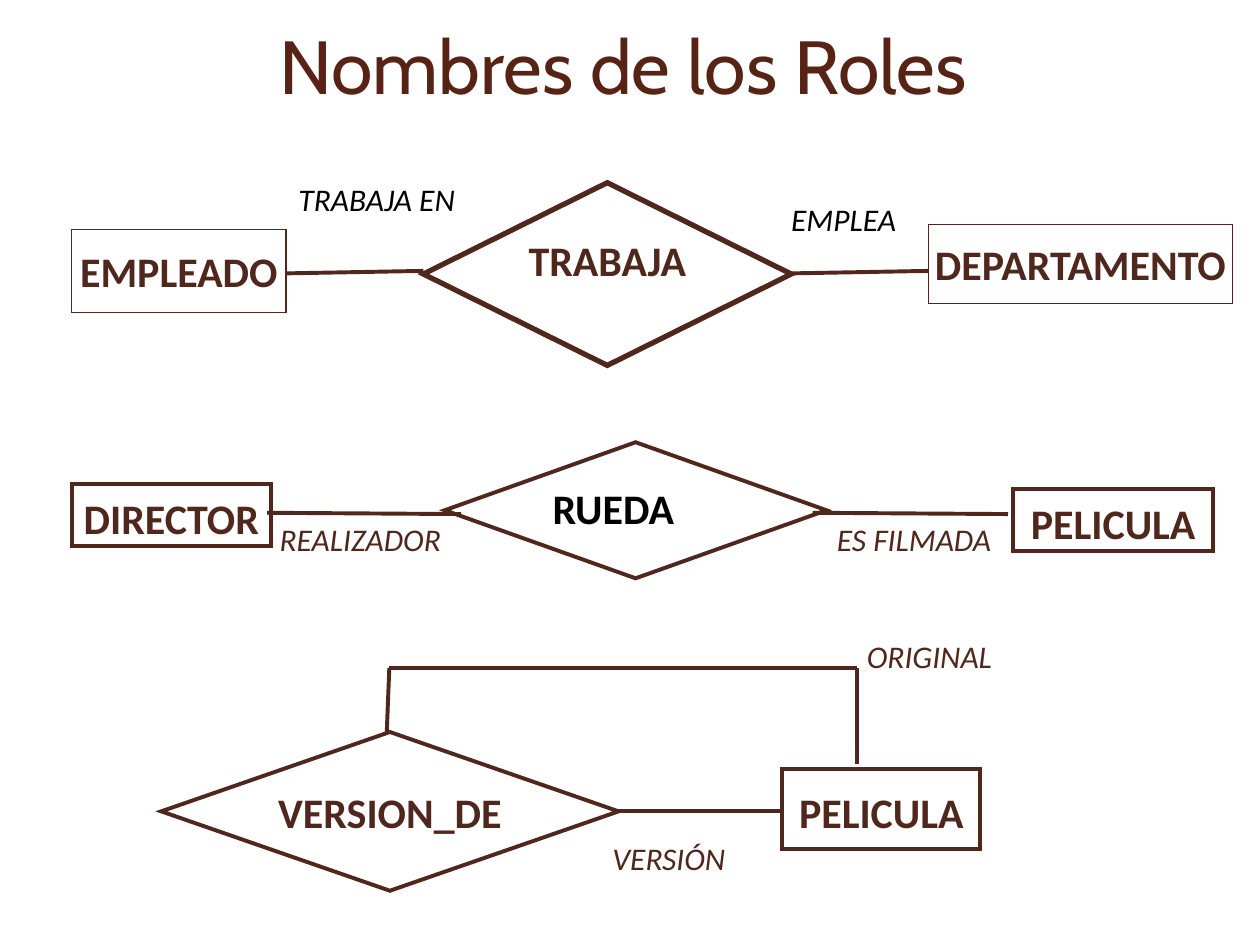
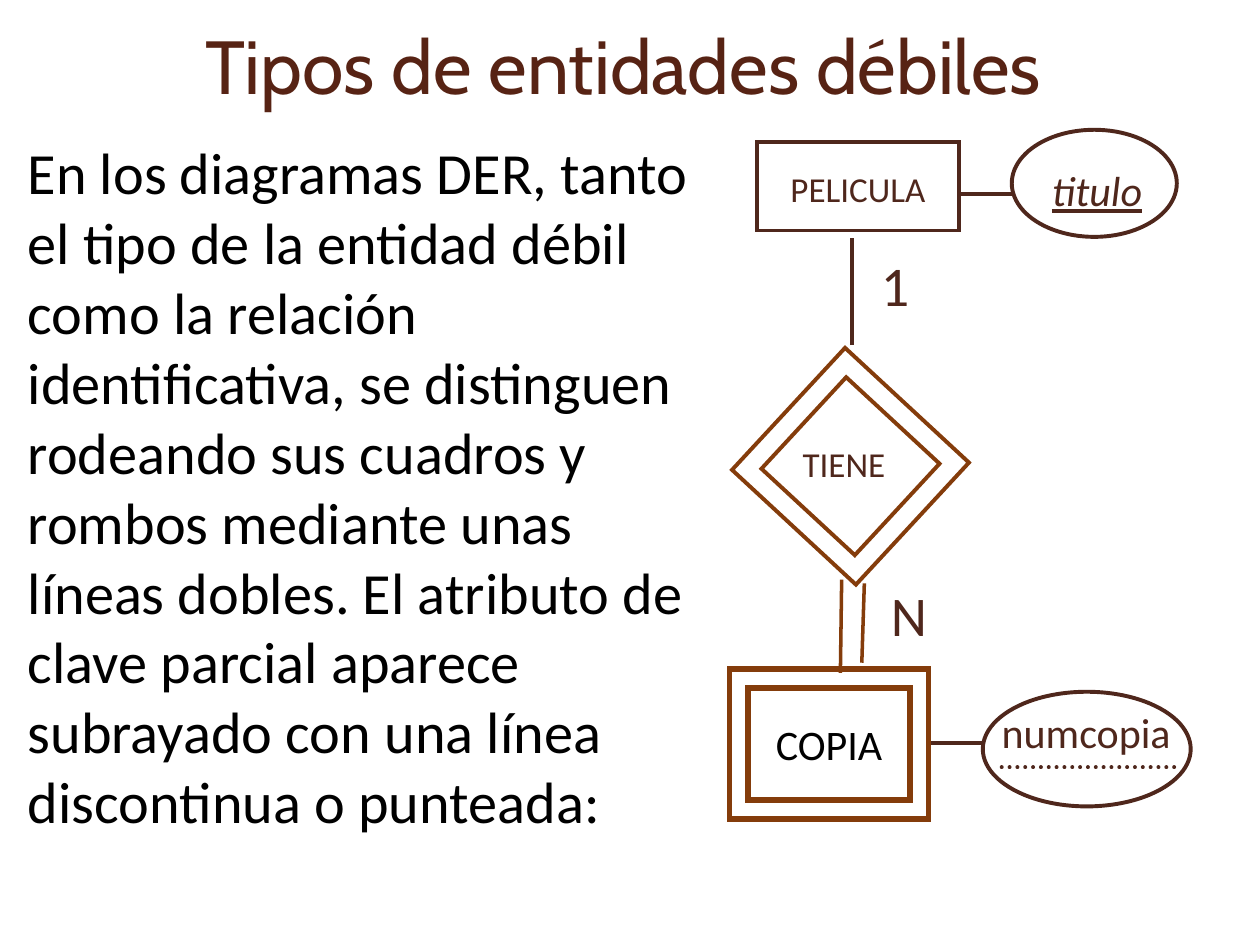
from dataclasses import dataclass

from pptx import Presentation
from pptx.dml.color import RGBColor
from pptx.enum.dml import MSO_LINE
from pptx.enum.shapes import MSO_CONNECTOR, MSO_SHAPE
from pptx.enum.text import MSO_ANCHOR, MSO_AUTO_SIZE, PP_ALIGN
from pptx.oxml.ns import qn
from pptx.slide import Slide
from pptx.text.text import TextFrame
from pptx.util import Pt
from lxml import etree

RECT, DIAMOND = MSO_SHAPE.RECTANGLE, MSO_SHAPE.DIAMOND
OVAL, FRAME = MSO_SHAPE.OVAL, MSO_SHAPE.FRAME
LEFT, CENTER = PP_ALIGN.LEFT, PP_ALIGN.CENTER
TOP, MIDDLE = MSO_ANCHOR.TOP, MSO_ANCHOR.MIDDLE
DOTS = MSO_LINE.ROUND_DOT
STRAIGHT = MSO_CONNECTOR.STRAIGHT

PX = 9144  # 100 px to the inch
WIDE, HIGH = 1000, 750
TITLE_ONLY, TITLE_BODY = 5, 1

# Insets: left, top, right, bottom
PLAIN = (10, 5, 10, 5)
SIDES = (8, 0, 8, 0)
SNUG = (0, 5, 0, 1)
SLIM = (8, 1, 8, 1)
NONE = (0, 0, 0, 0)


@dataclass(frozen=True)
class Theme:
    head: str = "Cabin"
    body: str = "Calibri"
    title: str = "572314"
    brown: str = "4F271C"
    rust: str = "843C0B"
    black: str = "000000"
    white: str = "FFFFFF"
    title_size: float = 43
    body_size: float = 33.3
    mark_size: float = 32
    node_size: float = 24
    mid_size: float = 20
    role_size: float = 18
    stroke: float = 2.25


THEME = Theme()


@dataclass(frozen=True)
class Type:
    size: float = THEME.node_size
    color: str = THEME.brown
    font: str = THEME.body
    bold: bool = False
    italic: bool = False
    under: bool = False


BOLD = Type(bold=True)
ROLE = Type(THEME.role_size, italic=True)
DARK = Type(THEME.role_size, THEME.black, italic=True)
MARK = Type(THEME.mark_size)
MID = Type(THEME.mid_size)


@dataclass(frozen=True)
class Box:
    x: int
    y: int
    w: int
    h: int

    def emu(self) -> tuple[int, ...]:
        return tuple(v * PX for v in (self.x, self.y, self.w, self.h))


@dataclass(frozen=True)
class Node:
    kind: MSO_SHAPE
    box: Box
    text: str = ""
    type: Type = BOLD
    pad: tuple[int, ...] = SNUG
    align: PP_ALIGN = CENTER
    anchor: MSO_ANCHOR = MIDDLE
    wrap: bool = True
    color: str = THEME.brown
    stroke: float = THEME.stroke
    fill: str | None = None
    turn: float = 0


@dataclass(frozen=True)
class Wire:
    x1: int
    y1: int
    x2: int
    y2: int
    color: str = THEME.brown
    stroke: float = THEME.stroke
    dash: MSO_LINE | None = None


@dataclass(frozen=True)
class Label:
    box: Box
    text: str
    type: Type = ROLE
    pad: tuple[int, ...] = PLAIN
    align: PP_ALIGN = LEFT
    wrap: bool = False
    lead: float = 1


def rgb(code: str) -> RGBColor:
    return RGBColor.from_string(code)


def write(frame: TextFrame, text: str, style: Type, pad: tuple[int, ...],
          align: PP_ALIGN, anchor: MSO_ANCHOR, wrap: bool, lead: float = 1,
          bare: bool = False) -> None:
    """Fill a frame with one paragraph in one style; bare drops its bullet."""
    frame.text = text
    frame.auto_size = MSO_AUTO_SIZE.NONE
    frame.word_wrap, frame.vertical_anchor = wrap, anchor
    (frame.margin_left, frame.margin_top,
     frame.margin_right, frame.margin_bottom) = (v * PX for v in pad)
    para = frame.paragraphs[0]
    para.alignment, para.line_spacing = align, lead
    para.space_before = Pt(0)
    if bare:
        props = para._p.get_or_add_pPr()
        props.set("marL", "0")
        props.set("indent", "0")
        etree.SubElement(props, qn("a:buNone"))
    font = para.font
    font.name, font.size = style.font, Pt(style.size)
    font.bold, font.italic, font.underline = style.bold, style.italic, style.under
    font.color.rgb = rgb(style.color)


def draw_node(slide: Slide, node: Node) -> None:
    shape = slide.shapes.add_shape(node.kind, *node.box.emu())
    shape.shadow.inherit = False
    shape.rotation = node.turn
    if node.fill:
        shape.fill.solid()
        shape.fill.fore_color.rgb = rgb(node.fill)
    else:
        shape.fill.background()
    shape.line.color.rgb = rgb(node.color)
    shape.line.width = Pt(node.stroke)
    etree.SubElement(shape.line._get_or_add_ln(), qn("a:miter"), lim="800000")
    if node.text:
        write(shape.text_frame, node.text, node.type, node.pad,
              node.align, node.anchor, node.wrap)


def draw_wire(slide: Slide, wire: Wire) -> None:
    ends = (v * PX for v in (wire.x1, wire.y1, wire.x2, wire.y2))
    shape = slide.shapes.add_connector(STRAIGHT, *ends)
    shape.line.color.rgb = rgb(wire.color)
    shape.line.width = Pt(wire.stroke)
    if wire.dash:
        shape.line.dash_style = wire.dash
        shape.line._get_or_add_ln().set("cap", "rnd")
    etree.SubElement(shape._element.spPr, qn("a:effectLst"))


def draw_label(slide: Slide, label: Label) -> None:
    shape = slide.shapes.add_textbox(*label.box.emu())
    write(shape.text_frame, label.text, label.type, label.pad,
          label.align, TOP, label.wrap, label.lead)


DRAW = {Node: draw_node, Wire: draw_wire, Label: draw_label}


def place(holder, box: Box) -> None:
    holder.left, holder.top, holder.width, holder.height = box.emu()


def add_slide(deck, layout: int, title: str, parts: list) -> Slide:
    slide = deck.slides.add_slide(deck.slide_layouts[layout])
    head = slide.shapes.title
    place(head, Box(12, 0, 965, 103))
    style = Type(THEME.title_size, THEME.title, THEME.head)
    write(head.text_frame, title, style, PLAIN, CENTER, MIDDLE, True)
    for part in parts:
        DRAW[type(part)](slide, part)
    return slide


def add_body(slide: Slide, text: str) -> None:
    body = slide.placeholders[1]
    place(body, Box(12, 103, 549, 589))
    style = Type(THEME.body_size, THEME.black)
    write(body.text_frame, text, style, PLAIN, LEFT, TOP, True, bare=True)
    body.text_frame.paragraphs[0].space_after = Pt(12)


ROLES = [
    Node(RECT, Box(57, 182, 170, 66), "EMPLEADO", pad=SIDES, wrap=False, stroke=0.75),
    Node(RECT, Box(737, 178, 241, 63), "DEPARTAMENTO", pad=SIDES, wrap=False,
         stroke=0.75),
    Wire(227, 217, 336, 215),
    Node(DIAMOND, Box(336, 145, 292, 145), "TRABAJA", pad=PLAIN, anchor=TOP, stroke=3),
    Wire(628, 217, 737, 215),
    Label(Box(227, 138, 145, 40), "TRABAJA EN", DARK),
    Label(Box(618, 154, 104, 40), "EMPLEA", DARK),

    Node(RECT, Box(57, 384, 158, 49), "DIRECTOR", fill=THEME.white),
    Node(RECT, Box(804, 388, 159, 49), "PELICULA", fill=THEME.white),
    Node(DIAMOND, Box(353, 351, 303, 108), "RUEDA", Type(color=THEME.black, bold=True),
         PLAIN, LEFT, TOP, fill=THEME.white),
    Wire(212, 407, 366, 408),
    Wire(645, 407, 800, 408),
    Label(Box(221, 411, 130, 54), "REALIZADOR", align=CENTER, lead=0.9),
    Label(Box(656, 411, 139, 54), "ES FILMADA", align=CENTER, lead=0.9),

    Label(Box(688, 506, 185, 46), "ORIGINAL", pad=NONE, wrap=True),
    Label(Box(486, 661, 104, 57), "VERSIÓN", pad=SNUG, wrap=True),
    Wire(680, 530, 680, 606),
    Wire(309, 530, 680, 530),
    Wire(309, 530, 307, 581),
    Node(RECT, Box(621, 610, 157, 64), "PELICULA", fill=THEME.white),
    Node(DIAMOND, Box(128, 581, 363, 126), "VERSION_DE", pad=NONE, fill=THEME.white),
    Wire(486, 644, 621, 644),
]

WEAK = [
    Label(Box(825, 126, 112, 50), "titulo", Type(italic=True, under=True), wrap=True),
    Wire(739, 590, 781, 590),
    Node(RECT, Box(601, 113, 160, 70), "PELICULA", MID),
    Node(OVAL, Box(780, 549, 165, 91)),
    Label(Box(787, 560, 147, 59), "numcopia", Type(), SLIM),
    Wire(795, 609, 934, 609, dash=DOTS),
    Wire(676, 274, 676, 189),
    Wire(760, 154, 803, 154),
    Node(OVAL, Box(803, 103, 131, 85)),
    Label(Box(707, 456, 32, 69), "N", MARK, SNUG, wrap=True),
    Label(Box(629, 350, 110, 59), "TIENE", MID, SLIM),
    Node(FRAME, Box(579, 531, 158, 119), "COPIA", Type(color=THEME.black), PLAIN,
         color=THEME.rust, stroke=3.25),
    Wire(686, 463, 684, 526, THEME.rust, 2),
    Label(Box(699, 194, 32, 69), "1", MARK, SNUG, wrap=True),
    Node(FRAME, Box(608, 304, 134, 132), color=THEME.rust, turn=42.8),
    Wire(668, 460, 667, 534, THEME.rust, 2),
]

WEAK_TEXT = (
    "En los diagramas DER, tanto el tipo de la entidad débil como la relación "
    "identificativa, se distinguen rodeando sus cuadros y rombos mediante unas "
    "líneas dobles. El atributo de clave parcial aparece subrayado con una línea "
    "discontinua o punteada:"
)


def main() -> None:
    deck = Presentation()
    deck.slide_width, deck.slide_height = WIDE * PX, HIGH * PX
    add_slide(deck, TITLE_ONLY, "Nombres de los Roles", ROLES)
    weak = add_slide(deck, TITLE_BODY, "Tipos de entidades débiles", WEAK)
    add_body(weak, WEAK_TEXT)
    deck.save("out.pptx")


if __name__ == "__main__":
    main()
